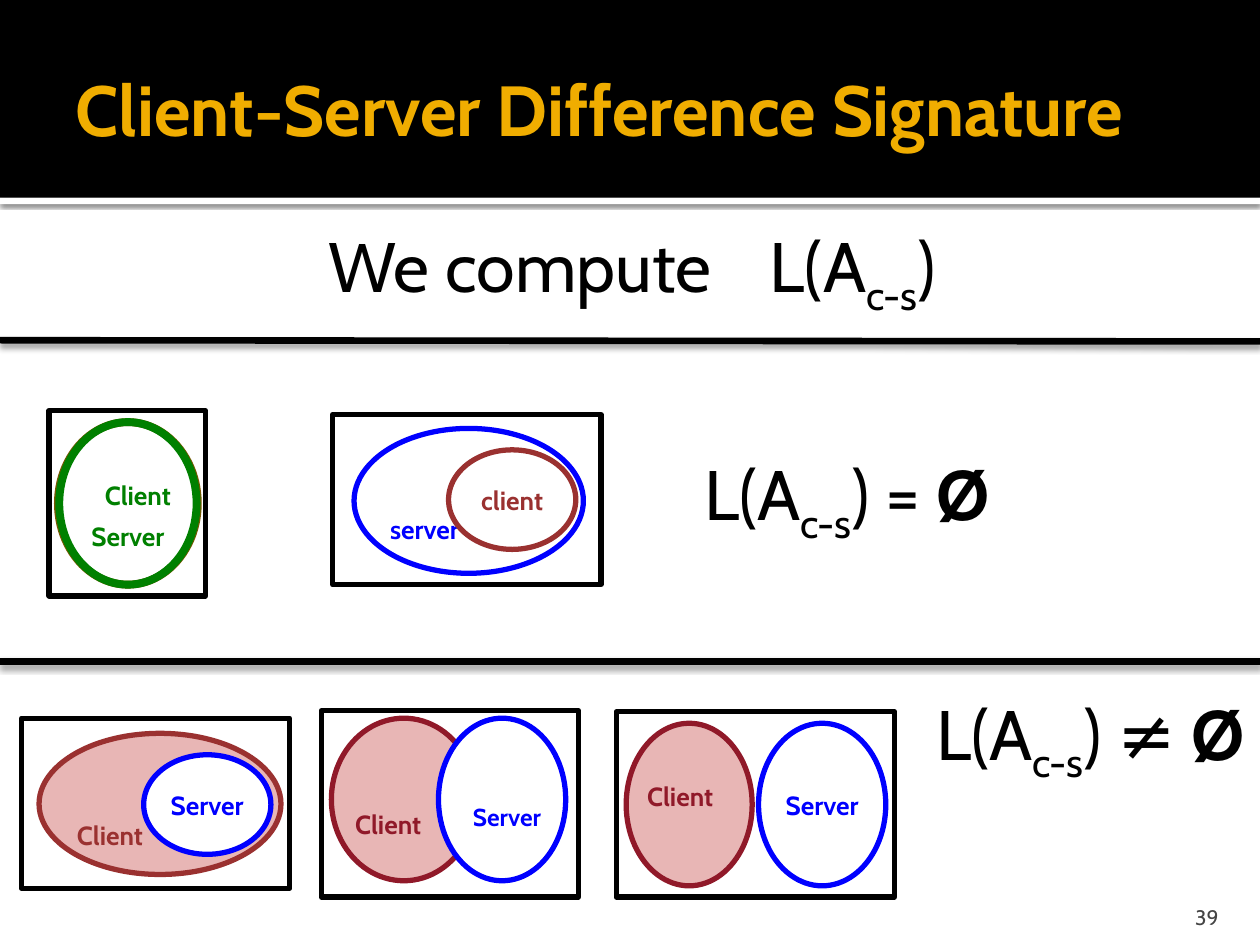
from dataclasses import dataclass

from lxml.etree import SubElement
from pptx import Presentation
from pptx.dml.color import RGBColor
from pptx.enum.shapes import MSO_CONNECTOR, MSO_SHAPE
from pptx.enum.text import MSO_ANCHOR, MSO_AUTO_SIZE, PP_ALIGN
from pptx.oxml.ns import qn
from pptx.util import Inches, Pt


@dataclass(frozen=True)
class Theme:
    font: str = "Cabin"
    black: str = "000000"
    white: str = "FFFFFF"
    gold: str = "F0AD00"
    grey: str = "454545"
    blue: str = "0000FF"
    green: str = "008000"
    brown: str = "785700"
    red: str = "9A3130"
    crimson: str = "901929"
    pink: str = "E8B6B5"
    title_size: float = 40.5
    formula_size: float = 40
    label_size: float = 15
    small_label_size: float = 14
    number_size: float = 12


theme = Theme()


def style(run, size, color, bold=False):
    run.font.name = theme.font
    run.font.size = Pt(size)
    run.font.bold = bold
    run.font.color.rgb = RGBColor.from_string(color)


def add_shadow(item, opacity, blur, distance):
    effects = SubElement(item._element.spPr, qn("a:effectLst"))
    shadow = SubElement(effects, qn("a:outerShdw"), blurRad=str(Pt(blur)),
                        dist=str(Pt(distance)), dir="5400000",
                        algn="t", rotWithShape="0")
    tint = SubElement(shadow, qn("a:srgbClr"), val=theme.black)
    SubElement(tint, qn("a:alpha"), val=str(opacity * 1000))


prs = Presentation()
prs.slide_width = Inches(10)
prs.slide_height = Inches(7.5)
slide = prs.slides.add_slide(prs.slide_layouts[5])
shapes = slide.shapes

for top, height, color in [(1.57, 0.05, theme.white), (0, 1.57, theme.black)]:
    band = shapes.add_shape(MSO_SHAPE.RECTANGLE, 0, Inches(top),
                            prs.slide_width, Inches(height))
    band.fill.solid()
    band.fill.fore_color.rgb = RGBColor.from_string(color)
    band.line.fill.background()
    if color == theme.white:
        add_shadow(band, 60, 2.5, 0.8)
    else:
        band.shadow.inherit = False

title = shapes.title
title.left, title.top = Inches(0.5), Inches(0.17)
title.width, title.height = Inches(9), Inches(1.37)
title.text_frame.text = "Client-Server Difference Signature"
title.text_frame.auto_size = MSO_AUTO_SIZE.NONE
title.text_frame.vertical_anchor = MSO_ANCHOR.MIDDLE
title.text_frame.margin_right = Inches(0.05)
title.text_frame.paragraphs[0].alignment = PP_ALIGN.LEFT
style(title.text_frame.paragraphs[0].runs[0], theme.title_size, theme.gold, True)
shapes._spTree.append(title._element)

page_number = shapes.add_textbox(Inches(8.97), Inches(7.08), Inches(0.8), Inches(0.3))
page_number.text_frame.text = "39"
page_number.text_frame.word_wrap = True
page_number.text_frame.margin_bottom = 0
page_number.text_frame.vertical_anchor = MSO_ANCHOR.BOTTOM
page_number.text_frame.paragraphs[0].alignment = PP_ALIGN.RIGHT
style(page_number.text_frame.paragraphs[0].runs[0], theme.number_size, theme.grey)

formulas = [
    (1.43, 1.72, 7.2, 1.18, "We compute\tL(A", ")", ""),
    (5.39, 3.53, 3.31, 0.2, "L(A", ") = ", "Ø"),
    (7.23, 5.43, 3.31, 0.2, "L(A", ") ≠ ", "Ø"),
]
for left, top, width, indent, language, relation, empty_set in formulas:
    formula = shapes.add_textbox(Inches(left), Inches(top), Inches(width), Inches(0.77))
    formula.text_frame.word_wrap = True
    formula.text_frame.margin_left = Inches(indent)
    line = formula.text_frame.paragraphs[0]
    if "\t" in language:
        tabs = SubElement(line._p.get_or_add_pPr(), qn("a:tabLst"))
        SubElement(tabs, qn("a:tab"), pos=str(Inches(3.5)), algn="l")
    for part in filter(None, (language, "c-s", relation, empty_set)):
        run = line.add_run()
        run.text = part
        style(run, theme.formula_size, theme.black, part == "Ø")
        if part == "c-s":
            run.font._element.set("baseline", "-25000")

frames = [
    (0.17, 5.7, 2.13, 1.35),
    (2.64, 3.29, 2.13, 1.35),
    (4.89, 5.65, 2.21, 1.47),
    (0.39, 3.26, 1.24, 1.47),
    (2.55, 5.64, 2.04, 1.48),
]
for box in frames:
    frame = shapes.add_shape(MSO_SHAPE.RECTANGLE, *map(Inches, box))
    frame.shadow.inherit = False
    frame.fill.background()
    frame.line.color.rgb = RGBColor.from_string(theme.black)
    frame.line.width = Pt(3)

LEFT, CENTER = PP_ALIGN.LEFT, PP_ALIGN.CENTER
regular, small = theme.label_size, theme.small_label_size
sets = [
    ((0.31, 5.82, 1.92, 1.12), theme.pink, theme.red, 3,
     "Client", theme.red, regular, LEFT, 0.02, 6.63),
    ((1.14, 5.99, 1.01, 0.79), theme.white, theme.blue, 3,
     "Server", theme.blue, regular, CENTER, 0.02, 6.39),
    ((2.81, 3.4, 1.82, 1.15), None, theme.blue, 3,
     "server", theme.blue, regular, LEFT, 0.02, 4.2),
    ((3.56, 3.57, 1.01, 0.79), None, theme.red, 3,
     "client", theme.red, regular, CENTER, 0.02, 3.97),
    ((4.97, 5.74, 1, 1.29), theme.pink, theme.crimson, 3,
     "Client", theme.crimson, regular, LEFT, 0.02, 6.32),
    ((6.02, 5.74, 1.01, 1.29), None, theme.blue, 3,
     "Server", theme.blue, regular, CENTER, 0.02, 6.39),
    ((0.46, 3.35, 1.11, 1.29), None, theme.brown, 4.5,
     "Client", theme.green, regular, LEFT, 0.21, 3.93),
    ((0.47, 3.35, 1.09, 1.29), None, theme.green, 4.5,
     "Server", theme.green, regular, CENTER, 0.02, 4.25),
    ((2.63, 5.7, 1.15, 1.29), theme.pink, theme.crimson, 3,
     "Client", theme.crimson, regular, LEFT, 0.02, 6.54),
    ((3.48, 5.7, 1.01, 1.29), theme.white, theme.blue, 3,
     "Server", theme.blue, small, CENTER, 0.1, 6.48),
]
for (box, fill, outline, weight, label, color, size,
     alignment, indent, label_middle) in sets:
    ellipse = shapes.add_shape(MSO_SHAPE.OVAL, *map(Inches, box))
    ellipse.shadow.inherit = False
    if fill:
        ellipse.fill.solid()
        ellipse.fill.fore_color.rgb = RGBColor.from_string(fill)
    else:
        ellipse.fill.background()
    ellipse.line.color.rgb = RGBColor.from_string(outline)
    ellipse.line.width = Pt(weight)
    text = ellipse.text_frame
    text.text = label
    text.word_wrap = True
    text.vertical_anchor = MSO_ANCHOR.TOP
    text.margin_left = Inches(indent)
    text.margin_right = Inches(0.02)
    text.margin_bottom = 0
    inner_top = box[1] + 0.146 * box[3]
    text.margin_top = Inches(label_middle - 0.6 * size * 1.2 / 1.2 / 72 - inner_top)
    text.paragraphs[0].alignment = alignment
    style(text.paragraphs[0].runs[0], size, color, True)

for start, end in [(5.25, 5.25), (2.7, 2.71)]:
    divider = shapes.add_connector(MSO_CONNECTOR.STRAIGHT, 0, Inches(start),
                                   prs.slide_width, Inches(end))
    divider.line.color.rgb = RGBColor.from_string(theme.black)
    divider.line.width = Pt(3.78)
    add_shadow(divider, 38, 3.5, 2)

prs.save("out.pptx")
